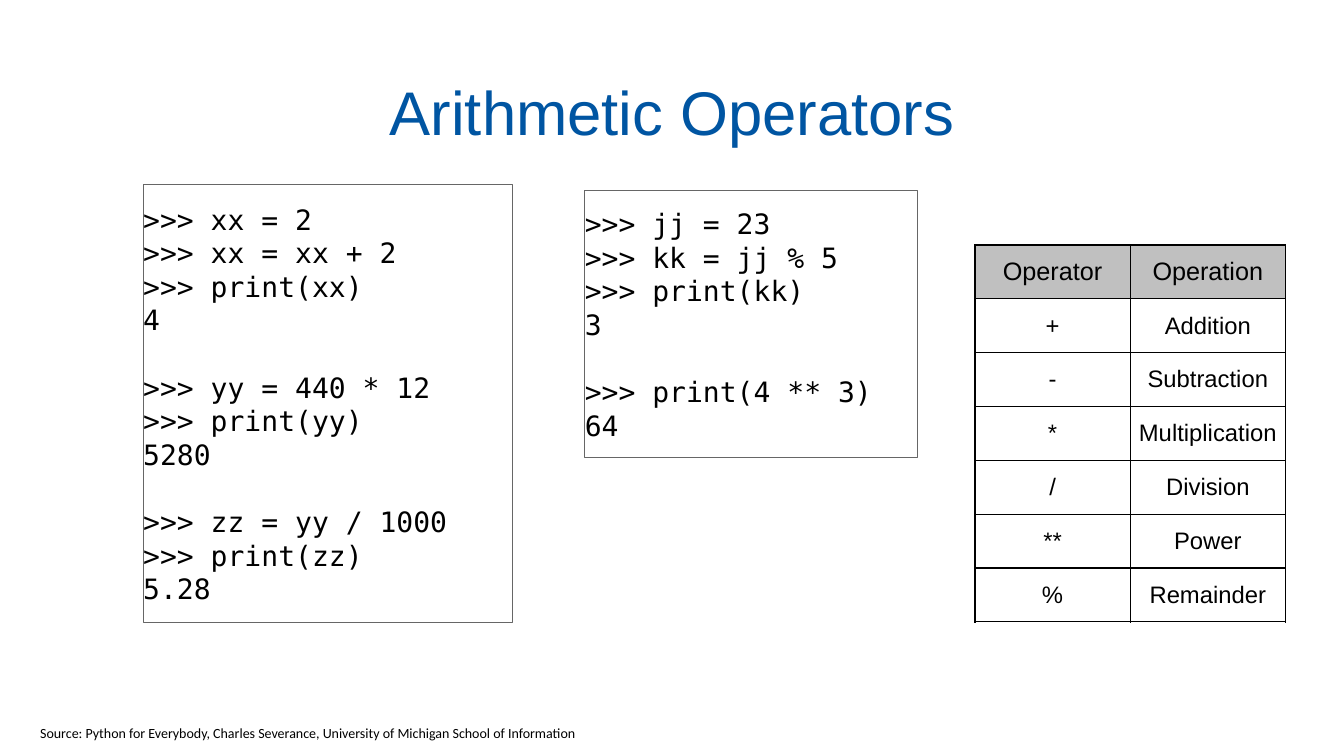
import lxml.etree
import pptx
import pptx.dml.color
import pptx.enum.shapes
import pptx.enum.text
import pptx.oxml.ns
import pptx.util

Inches = pptx.util.Inches
RGBColor = pptx.dml.color.RGBColor
CENTER = pptx.enum.text.PP_ALIGN.CENTER
MIDDLE = pptx.enum.text.MSO_ANCHOR.MIDDLE

BLACK = RGBColor(0x00, 0x00, 0x00)
TITLE_BLUE = RGBColor(0x00, 0x55, 0xA2)
FRAME_GRAY = RGBColor(0x66, 0x66, 0x66)
HEADER_GRAY = RGBColor(0xC0, 0xC0, 0xC0)

TITLE_STYLE = {"name": "Arial", "size": 44, "color": TITLE_BLUE}
CODE_STYLE = {"name": "DejaVu Sans Mono", "size": 20, "color": BLACK}
HEADER_STYLE = {"name": "Arial", "size": 18, "color": BLACK}
CELL_STYLE = {"name": "Arial", "size": 17, "color": BLACK}
SOURCE_STYLE = {"name": "Calibri", "size": 10, "color": BLACK}
CODE_LINE_HEIGHT = 24

VARIABLES_CODE = [
    [">>> xx = 2", ">>> xx = xx + 2", ">>> print(xx)", "4"],
    [">>> yy = 440 * 12", ">>> print(yy)", "5280"],
    [">>> zz = yy / 1000", ">>> print(zz)", "5.28"],
]
REMAINDER_CODE = [
    [">>> jj = 23", ">>> kk = jj % 5", ">>> print(kk)", "3"],
    [">>> print(4 ** 3)", "64"],
]
OPERATORS = [
    ("Operator", "Operation"),
    ("+", "Addition"),
    ("-", "Subtraction"),
    ("*", "Multiplication"),
    ("/", "Division"),
    ("**", "Power"),
    ("%", "Remainder"),
]


def write_text(para, text, style, alignment=None):
    """Add one styled span to a paragraph."""
    para.alignment = alignment
    span = para.add_run()
    span.text = text
    span.font.color.rgb = style["color"]
    for key, value in {"name": style["name"], "size": pptx.util.Pt(style["size"])}.items():
        setattr(span.font, key, value)


def set_margins(target, margin):
    """Give a text frame or cell the same margin on all sides."""
    for side in ("left", "top", "right", "bottom"):
        setattr(target, f"margin_{side}", Inches(margin))


def add_title(page, box, text):
    """Place the centred title in its box."""
    frame = page.shapes.add_textbox(*map(Inches, box)).text_frame
    set_margins(frame, 0.03)
    for key, value in {"word_wrap": True, "vertical_anchor": MIDDLE}.items():
        setattr(frame, key, value)
    write_text(frame.paragraphs[0], text, TITLE_STYLE, CENTER)


def add_code(page, box, groups):
    """Place a framed console session with a line's gap between groups."""
    rectangle = pptx.enum.shapes.MSO_SHAPE.RECTANGLE
    panel = page.shapes.add_shape(rectangle, *map(Inches, box))
    panel.shadow.inherit = False
    panel.fill.background()
    panel.line.color.rgb = FRAME_GRAY
    panel.line.width = pptx.util.Pt(0.75)
    frame = panel.text_frame
    set_margins(frame, 0)
    for key, value in {"word_wrap": True, "vertical_anchor": MIDDLE}.items():
        setattr(frame, key, value)
    para = frame.paragraphs[0]
    for group_index, group in enumerate(groups):
        for line_index, line in enumerate(group):
            if group_index or line_index:
                para = frame.add_paragraph()
            if group_index and not line_index:
                para.space_before = pptx.util.Pt(CODE_LINE_HEIGHT)
            write_text(para, line, CODE_STYLE, pptx.enum.text.PP_ALIGN.LEFT)


def add_borders(cell):
    """Draw a thin black line on every side of a cell."""
    properties = cell._tc.get_or_add_tcPr()
    name = pptx.oxml.ns.qn
    for index, side in enumerate(("lnL", "lnR", "lnT", "lnB")):
        border = lxml.etree.Element(name(f"a:{side}"), w=str(pptx.util.Pt(1)))
        fill = lxml.etree.SubElement(border, name("a:solidFill"))
        lxml.etree.SubElement(fill, name("a:srgbClr"), val=str(BLACK))
        properties.insert(index, border)


def add_operator_table(page, box, rows):
    """Place the bordered table with a gray header row."""
    holder = page.shapes.add_table(len(rows), len(rows[0]), *map(Inches, box))
    table = holder.table
    for key, value in {"first_row": False, "horz_banding": False}.items():
        setattr(table, key, value)
    for row_index, row in enumerate(rows):
        for column_index, text in enumerate(row):
            cell = table.cell(row_index, column_index)
            set_margins(cell, 0.03)
            cell.vertical_anchor = MIDDLE
            if row_index:
                cell.fill.background()
            else:
                cell.fill.solid()
                cell.fill.fore_color.rgb = HEADER_GRAY
            style = CELL_STYLE if row_index else HEADER_STYLE
            write_text(cell.text_frame.paragraphs[0], text, style, CENTER)
            add_borders(cell)


def add_source(page, box, text):
    """Place the source line on one unwrapped line."""
    frame = page.shapes.add_textbox(*map(Inches, box)).text_frame
    frame.word_wrap = False
    frame.auto_size = pptx.enum.text.MSO_AUTO_SIZE.SHAPE_TO_FIT_TEXT
    write_text(frame.paragraphs[0], text, SOURCE_STYLE)


def main():
    """Build and save the slide."""
    deck = pptx.Presentation()
    deck.slide_width, deck.slide_height = Inches(13.33), Inches(7.5)
    page = deck.slides.add_slide(deck.slide_layouts[6])
    add_code(page, (1.42, 1.83, 3.66, 4.35), VARIABLES_CODE)
    add_code(page, (5.8, 1.89, 3.3, 2.65), REMAINDER_CODE)
    add_operator_table(page, (9.67, 2.43, 3.08, 3.74), OPERATORS)
    add_title(page, (0.67, 0.64, 12, 0.91), "Arithmetic Operators")
    add_source(
        page,
        (0.3, 7.14, 5.6, 0.27),
        "Source: Python for Everybody, Charles Severance, "
        "University of Michigan School of Information",
    )
    deck.save("out.pptx")


if __name__ == "__main__":
    main()
